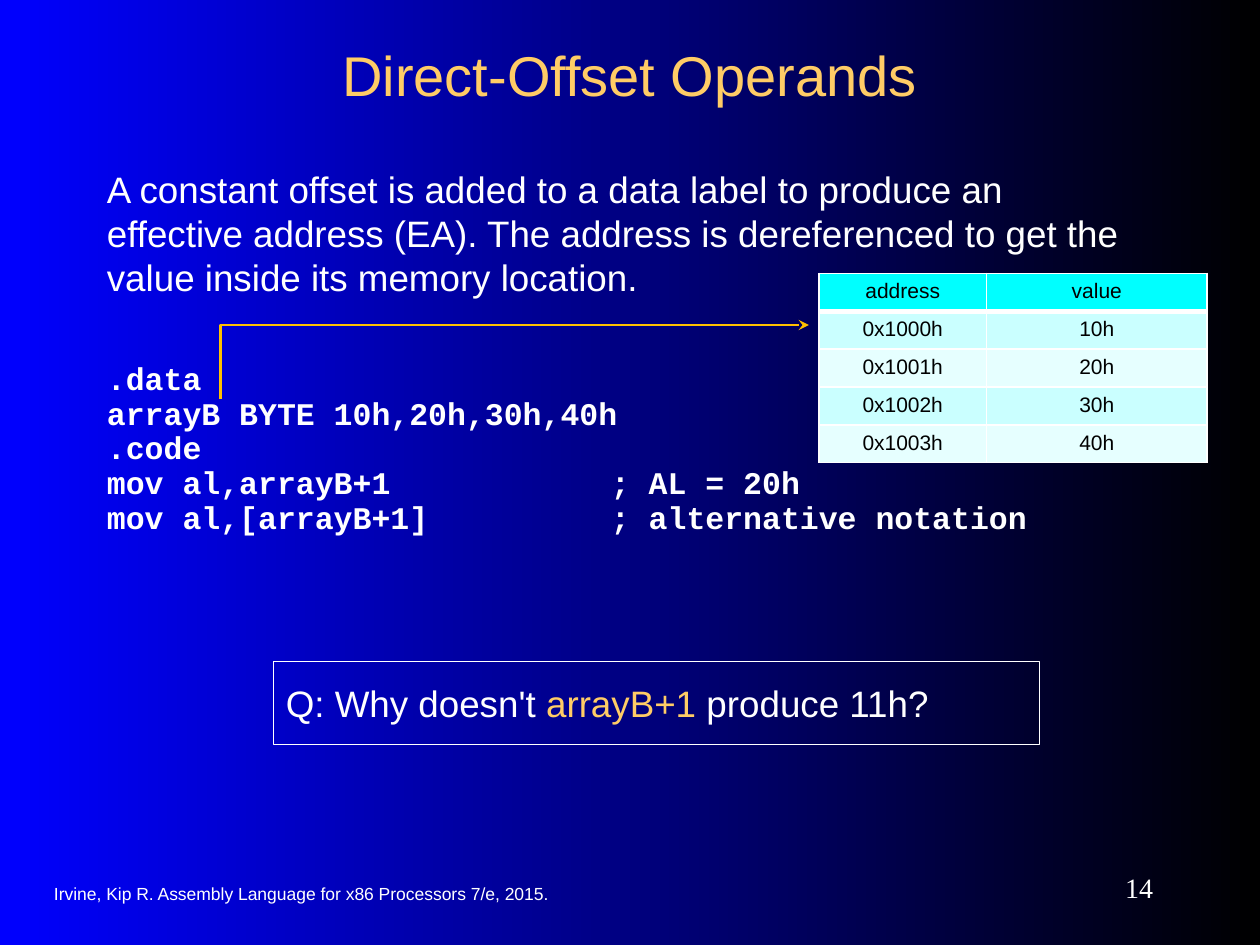
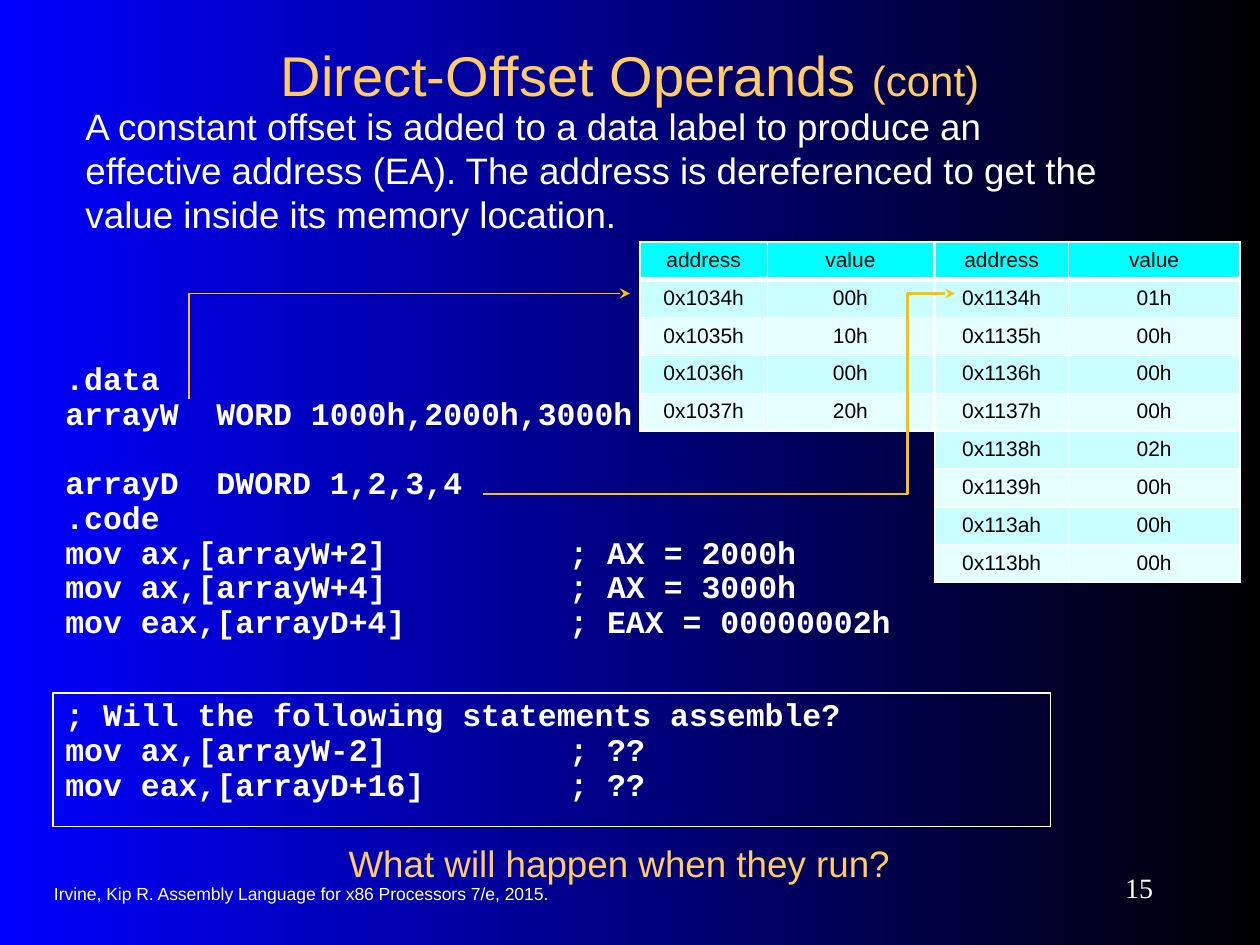
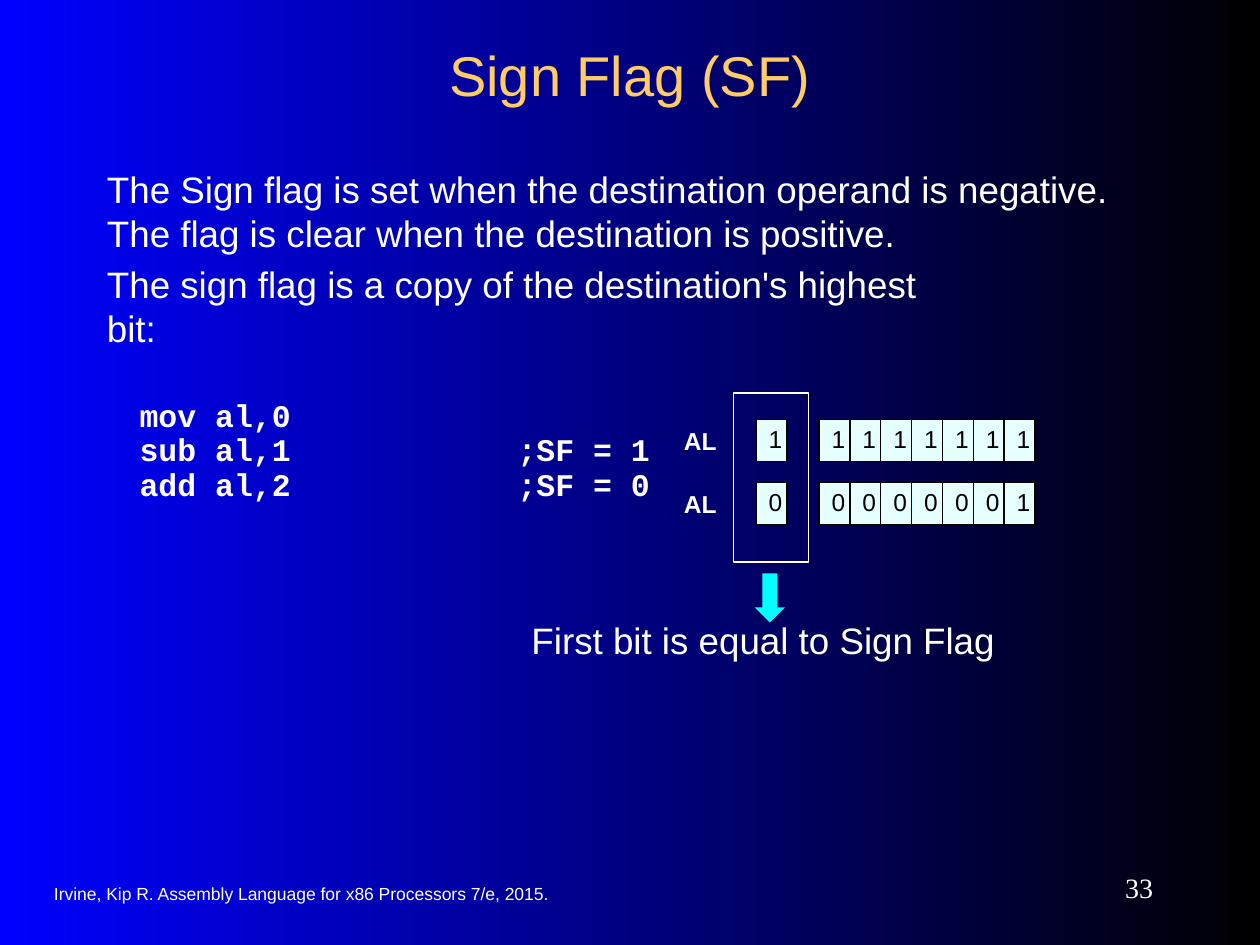
from pptx import Presentation
from pptx.dml.color import RGBColor
from pptx.enum.shapes import MSO_CONNECTOR, MSO_SHAPE
from pptx.enum.text import MSO_ANCHOR, PP_ALIGN
from pptx.oxml.ns import qn
from pptx.util import Inches, Pt
from lxml import etree

ELBOW = MSO_CONNECTOR.ELBOW
RECT, DOWN_ARROW = MSO_SHAPE.RECTANGLE, MSO_SHAPE.DOWN_ARROW
LEFT, CENTER, RIGHT = PP_ALIGN.LEFT, PP_ALIGN.CENTER, PP_ALIGN.RIGHT
TOP, MIDDLE = MSO_ANCHOR.TOP, MSO_ANCHOR.MIDDLE

BLUE = RGBColor(0x00, 0x00, 0xFF)
BLACK = RGBColor(0x00, 0x00, 0x00)
WHITE = RGBColor(0xFF, 0xFF, 0xFF)
GOLD = RGBColor(0xFF, 0xCC, 0x66)
ORANGE = RGBColor(0xFF, 0xC0, 0x00)
CYAN = RGBColor(0x00, 0xFF, 0xFF)
BAND = RGBColor(0xCA, 0xFF, 0xFF)
PALE = RGBColor(0xE6, 0xFF, 0xFF)

SANS, MONO, SERIF = "Arial", "Courier New", "Times New Roman"
BODY_SIZE, CODE_SIZE = 21, 18
ROW_HEIGHT, BIT_HEIGHT, BIT_WIDTH = 0.3, 0.33, 0.245

FOOTER = "Irvine, Kip R. Assembly Language for x86 Processors 7/e, 2015."
OFFSET_TEXT = ("A constant offset is added to a data label to produce an effective "
               "address (EA). The address is dereferenced to get the value inside "
               "its memory location.")
HEADER = ("address", "value")
BYTE_ROWS = [HEADER, ("0x1000h", "10h"), ("0x1001h", "20h"),
             ("0x1002h", "30h"), ("0x1003h", "40h")]
WORD_ROWS = [HEADER, ("0x1034h", "00h"), ("0x1035h", "10h"),
             ("0x1036h", "00h"), ("0x1037h", "20h")]
DWORD_ROWS = [HEADER, ("0x1134h", "01h"), ("0x1135h", "00h"),
              ("0x1136h", "00h"), ("0x1137h", "00h"), ("0x1138h", "02h"),
              ("0x1139h", "00h"), ("0x113ah", "00h"), ("0x113bh", "00h")]
BYTE_CODE = [".data", "arrayB BYTE 10h,20h,30h,40h", ".code",
             "mov al,arrayB+1\t; AL = 20h",
             "mov al,[arrayB+1]\t; alternative notation"]
WORD_CODE = [".data", "arrayW\tWORD 1000h,2000h,3000h",
             "arrayD\tDWORD 1,2,3,4", ".code",
             "mov ax,[arrayW+2]\t; AX = 2000h",
             "mov ax,[arrayW+4]\t; AX = 3000h",
             "mov eax,[arrayD+4]\t; EAX = 00000002h"]
QUIZ_CODE = ["; Will the following statements assemble?",
             "mov ax,[arrayW-2]\t; ??", "mov eax,[arrayD+16]\t; ??"]
SIGN_CODE = ["mov al,0", "sub al,1\t;SF = 1", "add al,2\t;SF = 0"]
SIGN_TEXTS = [
    ((0.75, 1.17, 8.42, 1), "The Sign flag is set when the destination operand is "
     "negative. The flag is clear when the destination is positive."),
    ((0.75, 1.93, 7.09, 0.65),
     "The sign flag is a copy of the destination's highest bit:"),
]
AL_VALUES = [(3.33, "11111111"), (3.83, "00000001")]


def inches(*values):
    return [Inches(v) for v in values]


def style_runs(p, size, color, font=SANS, bold=False):
    for r in p.runs:
        r.font.name, r.font.size, r.font.bold = font, Pt(size), bold
        r.font.color.rgb = color


def add_box(slide, at, lines, size=BODY_SIZE, color=WHITE, font=SANS, bold=False,
            align=LEFT, anchor=TOP, pad=0.15, framed=False):
    if framed:
        sp = slide.shapes.add_shape(RECT, *inches(*at))
        sp.shadow.inherit = False
        sp.fill.background()
        sp.line.color.rgb, sp.line.width = WHITE, Pt(0.75)
    else:
        sp = slide.shapes.add_textbox(*inches(*at))
    tf = sp.text_frame
    tf.word_wrap, tf.vertical_anchor = True, anchor
    tf.margin_top = tf.margin_bottom = Inches(pad)
    tf.text = "\n".join(lines)
    for p in tf.paragraphs:
        p.alignment = align
        style_runs(p, size, color, font, bold)
    return sp


def add_code(slide, at, lines, stops, framed=False):
    sp = add_box(slide, at, lines, CODE_SIZE, font=MONO, bold=True, framed=framed)
    for i, p in enumerate(sp.text_frame.paragraphs):
        p.line_spacing = 0.5
        p.space_before = Pt(9 if i else 0)
        tabs = etree.SubElement(p._p.get_or_add_pPr(), qn("a:tabLst"))
        for stop in stops:
            etree.SubElement(tabs, qn("a:tab"), pos=str(Inches(stop)), algn="l")
    return sp


def set_borders(cell, color, bottom_width):
    tcPr = cell._tc.get_or_add_tcPr()
    for side, width in (("L", 1), ("R", 1), ("T", 1), ("B", bottom_width)):
        ln = etree.SubElement(tcPr, qn("a:ln" + side), w=str(Pt(width)))
        fill = etree.SubElement(ln, qn("a:solidFill"))
        etree.SubElement(fill, qn("a:srgbClr"), val=str(color))


def add_grid(slide, left, top, rows, widths, row_height, size, fills, border,
             header_line=1):
    """Add a table whose row i is filled with fills[i]."""
    table = slide.shapes.add_table(
        len(rows), len(widths),
        *inches(left, top, sum(widths), row_height * len(rows))).table
    table.first_row = table.horz_banding = False
    for column, width in zip(table.columns, widths):
        column.width = Inches(width)
    for i, row in enumerate(rows):
        table.rows[i].height = Inches(row_height)
        for j, value in enumerate(row):
            cell = table.cell(i, j)
            cell.text = value
            p = cell.text_frame.paragraphs[0]
            p.alignment = CENTER
            style_runs(p, size, BLACK)
            set_borders(cell, border, 1 if i else header_line)
            cell.fill.solid()
            cell.fill.fore_color.rgb = fills[i]


def add_memory(slide, left, top, rows, widths):
    fills = [CYAN] + [PALE if i % 2 else BAND for i in range(len(rows) - 1)]
    add_grid(slide, left, top, rows, widths, ROW_HEIGHT, 12, fills, WHITE, 3)


def add_bits(slide, left, top, bits):
    add_grid(slide, left, top, [bits], [BIT_WIDTH] * len(bits), BIT_HEIGHT, 14,
             [PALE], BLACK)


def add_pointer(slide, start, end, bend, width):
    """Add an elbow arrow that turns at the fraction bend of its width."""
    c = slide.shapes.add_connector(ELBOW, *inches(*start, *end))
    c.line.color.rgb, c.line.width = ORANGE, Pt(width)
    etree.SubElement(c.line._get_or_add_ln(), qn("a:tailEnd"), type="stealth")
    spPr = c._element.spPr
    etree.SubElement(spPr, qn("a:effectLst"))
    guides = spPr.find(qn("a:prstGeom")).get_or_add_avLst()
    etree.SubElement(guides, qn("a:gd"), name="adj1",
                     fmla=f"val {round(bend * 100000)}")


def add_slide(prs, title, number):
    slide = prs.slides.add_slide(prs.slide_layouts[6])
    add_box(slide, (0.33, 6.93, 5.25, 0.33), [FOOTER], 10, anchor=MIDDLE, pad=0.05)
    add_box(slide, (8.17, 6.83, 1.08, 0.42), [str(number)], 16, font=SERIF,
            align=RIGHT, anchor=MIDDLE, pad=0.05)
    heading = add_box(slide, (0.75, 0.25, 8.5, 0.67), [title], 32, GOLD,
                      align=CENTER, anchor=MIDDLE, pad=0.05)
    return slide, heading.text_frame.paragraphs[0]


def add_colored_run(p, text, size, color):
    p.add_run().text = text
    r = p.runs[-1]
    r.font.name, r.font.size, r.font.color.rgb = SANS, Pt(size), color


def build_byte_slide(prs):
    slide, _ = add_slide(prs, "Direct-Offset Operands", 14)
    add_code(slide, (0.75, 2.83, 8.42, 1.92), BYTE_CODE, [4])
    add_box(slide, (0.75, 1.17, 8.42, 1.35), [OFFSET_TEXT])
    question = add_box(slide, (2.17, 5.25, 6.08, 0.66), ["Q: Why doesn't "],
                       framed=True)
    p = question.text_frame.paragraphs[0]
    add_colored_run(p, "arrayB+1", BODY_SIZE, GOLD)
    add_colored_run(p, " produce 11h?", BODY_SIZE, WHITE)
    add_memory(slide, 6.5, 2.17, BYTE_ROWS, [1.33, 1.75])
    add_pointer(slide, (1.75, 3.17), (6.42, 2.58), 0, 1.25)


def build_word_slide(prs):
    slide, title = add_slide(prs, "Direct-Offset Operands ", 15)
    add_colored_run(title, "(cont)", 24, GOLD)
    code = add_code(slide, (0.42, 2.83, 7.5, 2.42), WORD_CODE, [1.2, 4])
    code.text_frame.paragraphs[2].space_before = Pt(29)
    add_box(slide, (0.58, 0.67, 8.42, 1.35), [OFFSET_TEXT])
    add_code(slide, (0.42, 5.5, 7.92, 1.06), QUIZ_CODE, [4], framed=True)
    add_box(slide, (1, 6.52, 7.83, 0.65), ["What will happen when they run?"],
            color=GOLD, align=CENTER)
    add_memory(slide, 5.08, 1.92, WORD_ROWS, [1.01, 1.32])
    add_memory(slide, 7.42, 1.92, DWORD_ROWS, [1.06, 1.36])
    add_pointer(slide, (1.5, 3.17), (5, 2.33), 0, 1)
    add_pointer(slide, (3.83, 3.92), (7.58, 2.33), 0.9, 1.5)


def build_sign_slide(prs):
    slide, _ = add_slide(prs, "Sign Flag (SF)", 33)
    for at, text in SIGN_TEXTS:
        add_box(slide, at, [text])
    add_code(slide, (1.01, 3.12, 7.17, 1.08), SIGN_CODE, [3])
    for top, bits in AL_VALUES:
        add_box(slide, (5.33, top, 0.5, 0.34), ["AL"], 14, bold=True, pad=0.05)
        add_bits(slide, 6, top, bits[0])
        add_bits(slide, 6.5, top, bits[1:])
    add_box(slide, (5.82, 3.12, 0.6, 1.34), [], framed=True)
    add_box(slide, (4.12, 4.85, 4, 0.45), ["First bit is equal to Sign Flag"],
            pad=0.05)
    arrow = slide.shapes.add_shape(DOWN_ARROW, *inches(5.99, 4.55, 0.24, 0.39))
    arrow.shadow.inherit = False
    arrow.fill.solid()
    arrow.fill.fore_color.rgb = CYAN
    arrow.line.fill.background()


def main():
    prs = Presentation()
    prs.slide_width, prs.slide_height = inches(10, 7.5)
    backdrop = prs.slide_master.background.fill
    backdrop.gradient()
    backdrop.gradient_angle = 0
    for stop, color in zip(backdrop.gradient_stops, (BLUE, BLACK)):
        stop.color.rgb = color
    build_byte_slide(prs)
    build_word_slide(prs)
    build_sign_slide(prs)
    prs.save("out.pptx")


if __name__ == "__main__":
    main()
